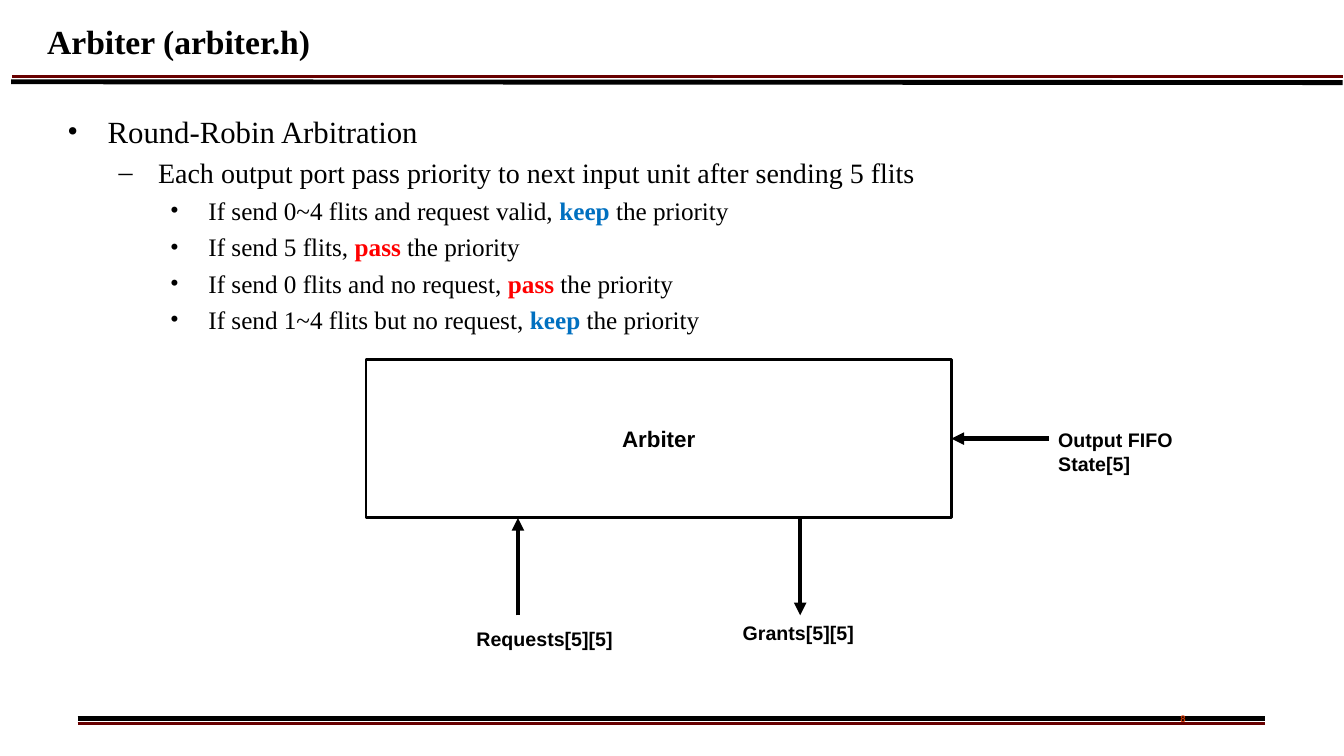
"""Builds the Round-Robin arbiter slide."""
from typing import NamedTuple

from lxml import etree
from pptx import Presentation
from pptx import util as u
from pptx.dml.color import RGBColor
from pptx.enum import shapes, text
from pptx.oxml import ns

Pt = u.Pt
COLORS = {"black": "000000", "white": "FFFFFF", "maroon": "680000",
          "blue": "0070C0", "red": "FF0000", "orange": "CC3300"}
SERIF, SANS = "Times New Roman", "Arial"


class Line(NamedTuple):
    x1: float
    y1: float
    x2: float
    y2: float
    width: float
    color: str = "black"
    arrow: bool = False


class Label(NamedTuple):
    text: str
    x: float
    y: float
    w: float


class Level(NamedTuple):
    size: float
    margin: float
    hang: float
    bullet: str


class Bullet(NamedTuple):
    level: int
    before: str
    word: str = ""
    color: str = "black"
    after: str = ""


LEVELS = [Level(22, 36, 28.8, "•"), Level(20, 72, 28.1, "–"), Level(18, 108, 27.4, "•")]
BULLETS = [
    Bullet(0, "Round-Robin Arbitration"),
    Bullet(1, "Each output port pass priority to next input unit after sending 5 flits"),
    Bullet(2, "If send 0~4 flits and request valid, ", "keep", "blue", " the priority"),
    Bullet(2, "If send 5 flits, ", "pass", "red", " the priority"),
    Bullet(2, "If send 0 flits and no request, ", "pass", "red", " the priority"),
    Bullet(2, "If send 1~4 flits but no request, ", "keep", "blue", " the priority"),
]
BOX_X, BOX_Y, BOX_W, BOX_H = 261.4, 257, 418.2, 113
BOX_R, BOX_B, ARROW = BOX_X + BOX_W, BOX_Y + BOX_H, 69.5
RULES = [
    Line(55.4, 517, 903.6, 517, 2, "maroon"),
    Line(55.4, 513.4, 903.6, 513.4, 3.5),
    Line(8.6, 54.6, 959, 54.6, 2, "maroon"),
    Line(7.9, 58.4, 959, 59, 3.5),
]
ARROWS = [
    Line(370, BOX_B + ARROW, 370, BOX_B, 3, arrow=True),
    Line(571.6, BOX_B, 571.6, BOX_B + ARROW, 3, arrow=True),
    Line(BOX_R + ARROW, 313.3, BOX_R, 313.3, 3, arrow=True),
]
LABELS = [Label("Requests[5][5]", 333.2, 444.4, 119.5),
          Label("Grants[5][5]", 523.4, 440, 119.5),
          Label("Output FIFO State[5]", 748.8, 302.2, 147)]


def rgb(name: str) -> RGBColor:
    return RGBColor.from_string(COLORS[name])


def add_run(p, content: str, *, size: float, font: str = SERIF,
            color: str = "black", bold: bool = False) -> None:
    r = p.add_run()
    r.text = content
    r.font.size, r.font.name, r.font.bold = Pt(size), font, bold
    r.font.color.rgb = rgb(color)


def add_box(s, x: float, y: float, w: float, h: float, inset: tuple = (7.2, 3.6)):
    tf = s.shapes.add_textbox(Pt(x), Pt(y), Pt(w), Pt(h)).text_frame
    tf.word_wrap = True
    tf.margin_left = tf.margin_right = Pt(inset[0])
    tf.margin_top = tf.margin_bottom = Pt(inset[1])
    return tf


def add_line(s, line: Line) -> None:
    c = s.shapes.add_connector(shapes.MSO_CONNECTOR.STRAIGHT, Pt(line.x1), Pt(line.y1),
                               Pt(line.x2), Pt(line.y2))
    c.line.width = Pt(line.width)
    c.line.color.rgb = rgb(line.color)
    if line.arrow:
        etree.SubElement(c.line._get_or_add_ln(), ns.qn("a:tailEnd"), type="triangle")
    etree.SubElement(c._element.spPr, ns.qn("a:effectLst"))


def add_bullet(p, bullet: Bullet) -> None:
    level = LEVELS[bullet.level]
    p.level = bullet.level
    p.space_before = Pt(4.3)
    pPr = p._p.get_or_add_pPr()
    pPr.set("marL", str(Pt(level.margin)))
    pPr.set("indent", str(-Pt(level.hang)))
    etree.SubElement(pPr, ns.qn("a:buFont"), typeface=SERIF)
    etree.SubElement(pPr, ns.qn("a:buChar"), char=level.bullet)
    add_run(p, bullet.before, size=level.size)
    if bullet.word:
        add_run(p, bullet.word, size=level.size, color=bullet.color, bold=True)
        add_run(p, bullet.after, size=level.size)


def add_arbiter(s) -> None:
    sp = s.shapes.add_shape(shapes.MSO_SHAPE.RECTANGLE, Pt(BOX_X), Pt(BOX_Y),
                            Pt(BOX_W), Pt(BOX_H))
    sp.shadow.inherit = False
    sp.fill.solid()
    sp.fill.fore_color.rgb = rgb("white")
    sp.line.color.rgb = rgb("black")
    sp.line.width = Pt(2)
    sp.text_frame.vertical_anchor = text.MSO_ANCHOR.MIDDLE
    p = sp.text_frame.paragraphs[0]
    p.alignment = text.PP_ALIGN.CENTER
    add_run(p, "Arbiter", size=16, font=SANS, bold=True)


def main() -> None:
    prs = Presentation()
    prs.slide_width, prs.slide_height = Pt(960), Pt(540)
    s = prs.slides.add_slide(prs.slide_layouts[6])
    for line in RULES:
        add_line(s, line)

    p = add_box(s, 808.6, 506.9, 72.7, 17.3, (4.3, 2.2)).paragraphs[0]
    p.alignment = text.PP_ALIGN.CENTER
    add_run(p, "8", size=6.8, font=SANS, color="orange", bold=True)

    tf = add_box(s, 33.8, 77, 899.3, 396.7)
    for i, bullet in enumerate(BULLETS):
        add_bullet(tf.add_paragraph() if i else tf.paragraphs[0], bullet)

    tf = add_box(s, 26.6, 3.6, 915, 51.1)
    tf.vertical_anchor = text.MSO_ANCHOR.MIDDLE
    add_run(tf.paragraphs[0], "Arbiter (arbiter.h)", size=24, bold=True)

    add_arbiter(s)
    for line in ARROWS:
        add_line(s, line)
    for label in LABELS:
        tf = add_box(s, label.x, label.y, label.w, 24.5)
        add_run(tf.paragraphs[0], label.text, size=14, font=SANS, bold=True)
    prs.save("out.pptx")


main()
